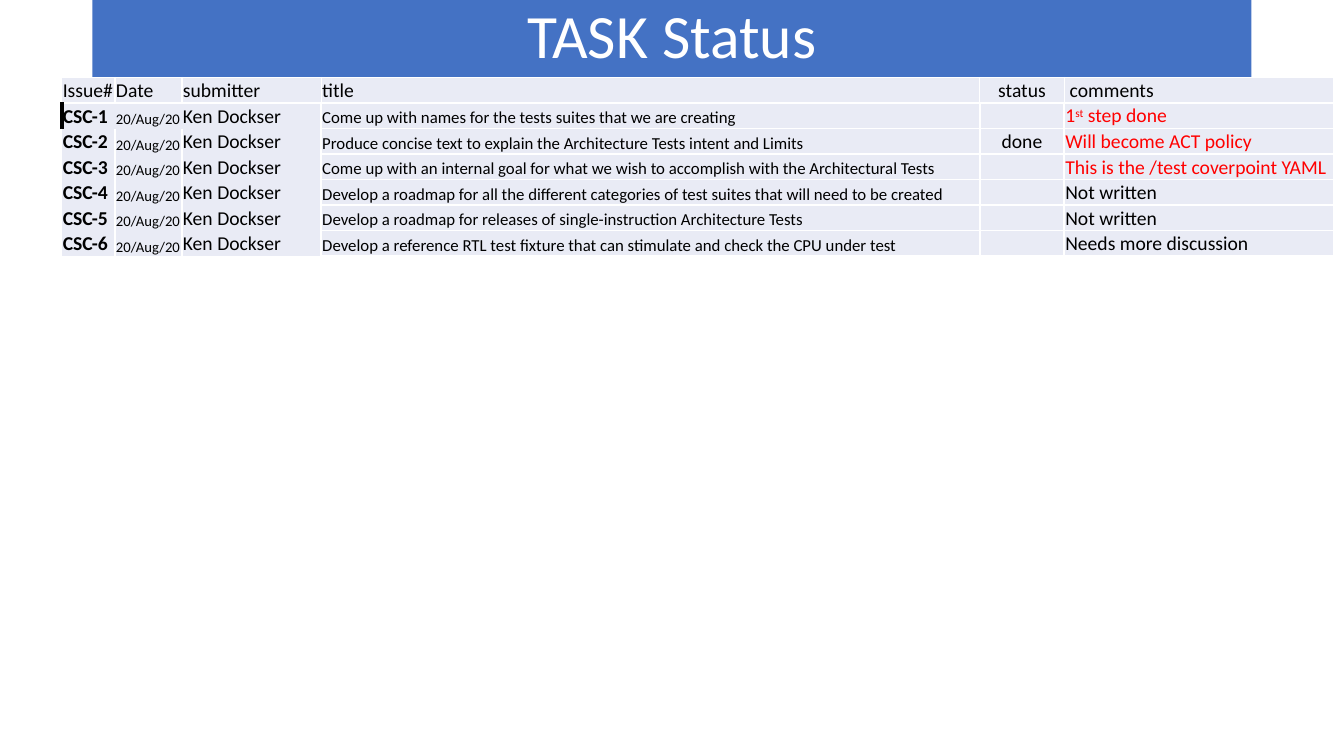
from lxml.etree import SubElement
from pptx import Presentation
from pptx.dml.color import RGBColor
from pptx.enum.shapes import MSO_SHAPE as SHAPE
from pptx.enum.text import MSO_ANCHOR as ANCHOR, PP_ALIGN as ALIGN
from pptx.oxml.ns import qn
from pptx.util import Pt

FONT = "Calibri"
BLUE, PALE, WHITE, BLACK, RED = "4472C4", "E9EBF5", "FFFFFF", "000000", "FF0000"
TITLE = "TASK Status"
HEADERS = ["Issue#", "Date", "submitter", "title", "status", "\u00a0comments"]
DATE, SUBMITTER = "20/Aug/20", "Ken Dockser"
# title, status, comment as (text, superscript) pieces, comment colour
ISSUES = [
    ("Come up with names for the tests suites that we are creating", "",
     [("1", False), ("st", True), (" step done", False)], RED),
    ("Produce concise text to explain the Architecture Tests intent and Limits", "done",
     [("Will become ACT policy", False)], RED),
    ("Come up with an internal goal for what we wish to accomplish with the Architectural Tests",
     "", [("This is the /test coverpoint YAML", False)], RED),
    ("Develop a roadmap for all the different categories of test suites that will need to be created",
     "", [("Not written", False)], BLACK),
    ("Develop a roadmap for releases of single-instruction Architecture Tests", "",
     [("Not written", False)], BLACK),
    ("Develop a reference RTL test fixture that can stimulate and check the CPU under test", "",
     [("Needs more discussion", False)], BLACK),
]
COL_WIDTHS = [38, 47.8, 99.5, 470.3, 60.5, 192.5]
BODY_SIZES = [14, 10.5, 14, 12, 14, 14]
HEADER_SIZE = 14
ROW_HEIGHT = 18.2
TABLE_LEFT, TABLE_TOP = 44.2, 55.4
STATUS_COL, COMMENT_COL = 4, 5


def rgb(color):
    return RGBColor.from_string(color)


def set_font(p, size, color, bold=False):
    p.font.name, p.font.size, p.font.bold = FONT, Pt(size), bold
    p.font.color.rgb = rgb(color)


def cell_borders(row, col):
    """Return {side: (colour, width)} for the sides that have a line."""
    if row == 0:
        return {side: (WHITE, 1.5 if side == "B" and col > 2 else 1) for side in "LRTB"}
    if col > 2:
        return {side: (WHITE, 1.5) for side in "LRTB"}
    if row == 1:
        sides = {"T": (WHITE, 1)}
        if col == 0:
            sides["L"] = (BLACK, 3)
    else:
        sides = {"L": (WHITE, 1), "R": (WHITE, 1)}
    if col == 2:
        sides["R"] = (WHITE, 1.5)
    return sides


def draw_borders(cell, sides):
    tc_pr = cell._tc.get_or_add_tcPr()
    for side in "LRTB":
        ln = SubElement(tc_pr, qn(f"a:ln{side}"))
        if side in sides:
            color, width = sides[side]
            ln.set("w", str(Pt(width)))
            fill = SubElement(ln, qn("a:solidFill"))
            SubElement(fill, qn("a:srgbClr")).set("val", color)
        else:
            SubElement(ln, qn("a:noFill"))


def fill_cell(cell, row, col, pieces, color):
    draw_borders(cell, cell_borders(row, col))
    cell.fill.solid()
    cell.fill.fore_color.rgb = rgb(PALE)
    cell.margin_left = cell.margin_right = cell.margin_top = Pt(0.7)
    cell.margin_bottom = 0
    first_comment = row == 1 and col == COMMENT_COL
    cell.vertical_anchor = ANCHOR.MIDDLE if first_comment else ANCHOR.BOTTOM
    p = cell.text_frame.paragraphs[0]
    p.alignment = ALIGN.CENTER if col == STATUS_COL else ALIGN.LEFT
    set_font(p, BODY_SIZES[col] if row else HEADER_SIZE, color, row > 0 and col == 0)
    for text, superscript in pieces:
        if text:
            r = p.add_run()
            r.text = text
            if superscript:
                r._r.get_or_add_rPr().set("baseline", "30000")


def add_title(s):
    sp = s.shapes.add_shape(SHAPE.RECTANGLE, Pt(66), 0, Pt(828), Pt(55.4))
    sp.shadow.inherit = False
    sp.fill.solid()
    sp.fill.fore_color.rgb = rgb(BLUE)
    sp.line.fill.background()
    tf = sp.text_frame
    tf.word_wrap = True
    tf.vertical_anchor = ANCHOR.MIDDLE
    p = tf.paragraphs[0]
    p.text = TITLE
    p.alignment, p.line_spacing = ALIGN.CENTER, 0.9
    set_font(p, 44, WHITE)


def add_issue_table(s):
    rows = [[([(header, False)], BLACK) for header in HEADERS]]
    for number, (title, status, comment, color) in enumerate(ISSUES, 1):
        plain = [f"CSC-{number}", DATE, SUBMITTER, title, status]
        rows.append([([(text, False)], BLACK) for text in plain] + [(comment, color)])
    table = s.shapes.add_table(len(rows), len(HEADERS), Pt(TABLE_LEFT), Pt(TABLE_TOP),
                               Pt(sum(COL_WIDTHS)), Pt(ROW_HEIGHT * len(rows))).table
    table.first_row = table.horz_banding = False
    for column, width in zip(table.columns, COL_WIDTHS):
        column.width = Pt(width)
    for i, row in enumerate(rows):
        table.rows[i].height = Pt(ROW_HEIGHT)
        for j, (pieces, color) in enumerate(row):
            fill_cell(table.cell(i, j), i, j, pieces, color)


def main():
    prs = Presentation()
    prs.slide_width, prs.slide_height = Pt(960), Pt(540)
    s = prs.slides.add_slide(prs.slide_layouts[6])
    add_title(s)
    add_issue_table(s)
    prs.save("out.pptx")


if __name__ == "__main__":
    main()
